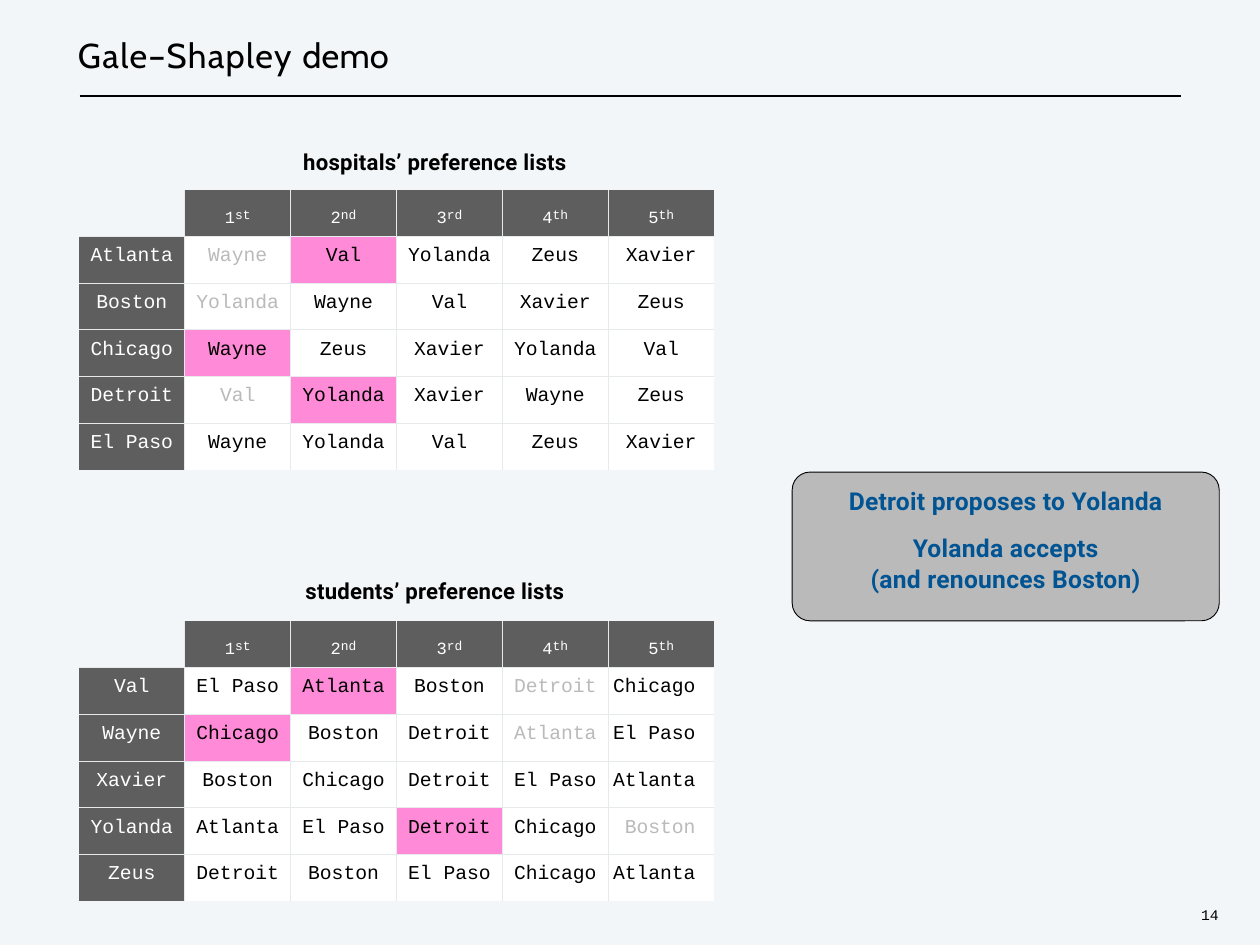
"""Build the Gale–Shapley demo slide: two preference tables and a proposal callout."""
from lxml import etree
from pptx import Presentation
from pptx import util as u
from pptx.dml.color import RGBColor
from pptx.enum import shapes, text
from pptx.oxml.ns import qn

TITLE = [("Gale–Shapley ", 1.1), ("demo", 0.2)]
RANKS = [("1", "st"), ("2", "nd"), ("3", "rd"), ("4", "th"), ("5", "th")]
PREFERENCES = [
    {
        "caption": "hospitals’ preference lists",
        "caption_top": 1.67, "table_top": 2.14, "last_align": text.PP_ALIGN.CENTER,
        "rows": [
            ("Atlanta", "Wayne", "Val", "Yolanda", "Zeus", "Xavier"),
            ("Boston", "Yolanda", "Wayne", "Val", "Xavier", "Zeus"),
            ("Chicago", "Wayne", "Zeus", "Xavier", "Yolanda", "Val"),
            ("Detroit", "Val", "Yolanda", "Xavier", "Wayne", "Zeus"),
            ("El Paso", "Wayne", "Yolanda", "Val", "Zeus", "Xavier"),
        ],
        "matched": {("Atlanta", "Val"), ("Chicago", "Wayne"), ("Detroit", "Yolanda")},
        "rejected": {("Atlanta", "Wayne"), ("Boston", "Yolanda"), ("Detroit", "Val")},
    },
    {
        "caption": "students’ preference lists",
        "caption_top": 6.51, "table_top": 7.01, "last_align": text.PP_ALIGN.RIGHT,
        "rows": [
            ("Val", "El Paso", "Atlanta", "Boston", "Detroit", "Chicago"),
            ("Wayne", "Chicago", "Boston", "Detroit", "Atlanta", "El Paso"),
            ("Xavier", "Boston", "Chicago", "Detroit", "El Paso", "Atlanta"),
            ("Yolanda", "Atlanta", "El Paso", "Detroit", "Chicago", "Boston"),
            ("Zeus", "Detroit", "Boston", "El Paso", "Chicago", "Atlanta"),
        ],
        "matched": {("Val", "Atlanta"), ("Wayne", "Chicago"), ("Yolanda", "Detroit")},
        "rejected": {("Val", "Detroit"), ("Wayne", "Atlanta"), ("Yolanda", "Boston")},
    },
]
PROPOSAL = [("Detroit proposes to Yolanda", 0), ("Yolanda accepts", 14),
            ("(and renounces Boston)", 1)]
PAGE = "14"

BACKGROUND = RGBColor(0xF2, 0xF6, 0xF9)
BLACK = RGBColor(0, 0, 0)
WHITE = RGBColor(0xFF, 0xFF, 0xFF)
HEADER = RGBColor(0x5E, 0x5E, 0x5E)
PINK = RGBColor(0xFF, 0x8A, 0xD8)
GREY = RGBColor(0xBA, 0xBA, 0xBA)
BLUE = RGBColor(0x00, 0x54, 0x93)
GRID = RGBColor(0xE7, 0xEA, 0xEB)

WIDTH, HEIGHT = 14.22, 10.67
LEFT, TABLE_WIDTH, TABLE_HEIGHT = 0.89, 7.17, 3.17
CAPTION_LEFT, CAPTION_WIDTH = 3.23, 3.36
NO_STYLE = "{2D5ABB26-0587-4C30-8999-92F81FD0307C}"


def inches(*lengths):
    return [u.Inches(length) for length in lengths]


def set_font(paragraph, name, size, color, bold=False):
    font = paragraph.font
    font.name, font.size, font.bold = name, u.Pt(size), bold
    font.color.rgb = color


def add_run(paragraph, words, spacing=0):
    run = paragraph.add_run()
    run.text = words
    if spacing:
        run._r.get_or_add_rPr().set("spc", str(round(spacing * 100)))
    return run


def clear_margins(frame, top=0.01):
    frame.margin_left = frame.margin_right = frame.margin_bottom = 0
    frame.margin_top = u.Inches(top)


def add_label(slide, box, words, align, font, spacing=0):
    frame = slide.shapes.add_textbox(*inches(*box)).text_frame
    frame.word_wrap = True
    clear_margins(frame)
    label = frame.paragraphs[0]
    label.alignment = align
    set_font(label, *font)
    add_run(label, words, spacing)


def add_borders(cell, sides):
    for side in sides:
        line = etree.SubElement(cell._tc.get_or_add_tcPr(), qn(f"a:ln{side}"), w=str(u.Pt(1)))
        fill = etree.SubElement(line, qn("a:solidFill"))
        etree.SubElement(fill, qn("a:srgbClr"), val=str(GRID))


def add_preferences(slide, lists):
    add_label(slide, (CAPTION_LEFT, lists["caption_top"], CAPTION_WIDTH, 0.33), lists["caption"],
              text.PP_ALIGN.CENTER, ("Roboto", 18, BLACK, True), 0.2)
    count = len(RANKS) + 1
    table = slide.shapes.add_table(count, count, *inches(
        LEFT, lists["table_top"], TABLE_WIDTH, TABLE_HEIGHT)).table
    table._tbl.tblPr.find(qn("a:tableStyleId")).text = NO_STYLE
    for r in range(count):
        for c in range(count):
            cell = table.cell(r, c)
            edges = {"L": c > 0, "R": c < count - 1, "T": r > 0, "B": r < count - 1}
            add_borders(cell, [side for side, inner in edges.items() if inner])
            cell.fill.solid()
            fill, color = (HEADER, WHITE) if r == 0 or c == 0 else (WHITE, BLACK)
            entry = cell.text_frame.paragraphs[0]
            entry.alignment = text.PP_ALIGN.CENTER
            clear_margins(cell, 0.1 if r else 0.06)
            if r == c == 0:
                fill = BACKGROUND
            elif r == 0:
                number, suffix = RANKS[c - 1]
                set_font(entry, "Courier New", 10.5, color)
                digit = add_run(entry, number)
                digit.font.size = u.Pt(24)
                digit._r.get_or_add_rPr().set("baseline", "-14000")
                add_run(entry, suffix)
            else:
                row = lists["rows"][r - 1]
                pair = (row[0], row[c])
                if pair in lists["matched"]:
                    fill = PINK
                elif pair in lists["rejected"]:
                    color = GREY
                if c == count - 1:
                    entry.alignment = lists["last_align"]
                    if entry.alignment == text.PP_ALIGN.RIGHT:
                        cell.margin_right = u.Inches(0.21)
                set_font(entry, "Courier New", 16, color)
                add_run(entry, row[c])
            cell.fill.fore_color.rgb = fill


def add_title(slide):
    title = slide.shapes.title
    title.left, title.top, title.width, title.height = inches(0.88, 0.38, 12.43, 0.49)
    frame = title.text_frame
    clear_margins(frame)
    frame.vertical_anchor = text.MSO_ANCHOR.TOP
    heading = frame.paragraphs[0]
    heading.alignment = text.PP_ALIGN.LEFT
    set_font(heading, "Cabin", 28, BLACK)
    for words, spacing in TITLE:
        add_run(heading, words, spacing)
    rule = slide.shapes.add_connector(shapes.MSO_CONNECTOR.STRAIGHT,
                                      *inches(0.9, 1.08, 13.33, 1.08))
    rule.line.color.rgb = BLACK
    rule.line.width = u.Pt(1.5)
    etree.SubElement(rule._element.spPr, qn("a:effectLst"))


def add_proposal(slide):
    callout = slide.shapes.add_shape(shapes.MSO_SHAPE.ROUNDED_RECTANGLE,
                                     *inches(8.94, 5.33, 4.82, 1.68))
    callout.adjustments[0] = 0.12
    callout.shadow.inherit = False
    callout.fill.solid()
    callout.fill.fore_color.rgb = GREY
    callout.line.color.rgb = BLACK
    callout.line.width = u.Pt(0.75)
    frame = callout.text_frame
    clear_margins(frame, 0.1)
    frame.vertical_anchor = text.MSO_ANCHOR.TOP
    for i, (words, gap) in enumerate(PROPOSAL):
        step = frame.add_paragraph() if i else frame.paragraphs[0]
        step.alignment = text.PP_ALIGN.CENTER
        step.space_before = u.Pt(gap)
        set_font(step, "Roboto", 20, BLUE, True)
        add_run(step, words, 0.2)


def main():
    deck = Presentation()
    deck.slide_width, deck.slide_height = inches(WIDTH, HEIGHT)
    slide = deck.slides.add_slide(deck.slide_layouts[5])
    slide.background.fill.solid()
    slide.background.fill.fore_color.rgb = BACKGROUND
    add_title(slide)
    for lists in PREFERENCES:
        add_preferences(slide, lists)
    add_proposal(slide)
    add_label(slide, (13.51, 10.22, 0.29, 0.23), PAGE, text.PP_ALIGN.CENTER,
              ("Courier New", 12, BLACK))
    deck.save("out.pptx")


if __name__ == "__main__":
    main()
